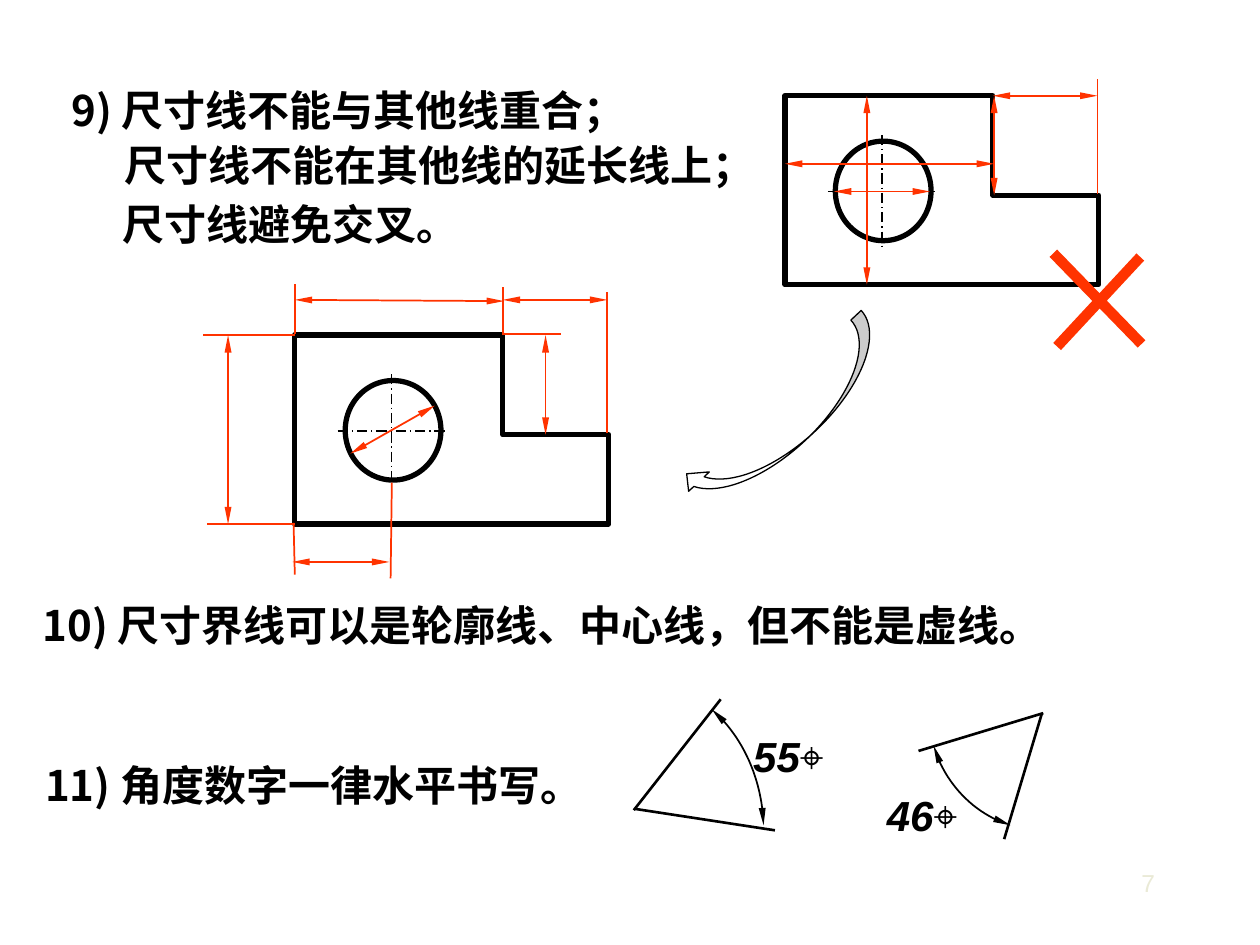
from lxml import etree
from pptx import Presentation
from pptx import util as u
from pptx.dml.color import RGBColor
from pptx.enum import dml, shapes, text
from pptx.oxml.ns import qn

Inches = u.Inches
COLORS = {"ink": "000000", "dimension": "FF3300", "paper": "FFFFFF", "pale": "EAEAD6"}
CJK = "Noto Sans CJK SC"

prs = Presentation()
prs.slide_width, prs.slide_height = Inches(10), Inches(7.5)
slide = prs.slides.add_slide(prs.slide_layouts[6])
canvas = slide.shapes


def write(runs, left, top, width, height=0.5, size=24, color="ink", wrap=True):
    """Add a text box; each run is (text, font, bold, italic)."""
    box = canvas.add_textbox(Inches(left), Inches(top), Inches(width), Inches(height))
    box.text_frame.word_wrap = wrap
    box.text_frame.auto_size = text.MSO_AUTO_SIZE.SHAPE_TO_FIT_TEXT
    for words, face, bold, italic in runs:
        run = box.text_frame.paragraphs[0].add_run()
        run.text = words
        font = run.font
        font.name, font.size, font.bold, font.italic = face, u.Pt(size), bold, italic
        font.color.rgb = RGBColor.from_string(COLORS[color])
        etree.SubElement(run._r.get_or_add_rPr(), qn("a:ea"), typeface=face)


def stroke(item, color, width, dash=None, arrows=False):
    """Format the line of a connector or shape and remove its shadow."""
    item.line.color.rgb = RGBColor.from_string(COLORS[color])
    item.line.width = u.Pt(width)
    if dash:
        item.line.dash_style = dash
    if arrows:
        ln = item.line._get_or_add_ln()
        for end in ("a:headEnd", "a:tailEnd"):
            etree.SubElement(ln, qn(end), type="triangle", w="sm", len="lg")
    etree.SubElement(item._element.spPr, qn("a:effectLst"))


# Rules
for rule, left, top, width, wrap in [
    ("9) 尺寸线不能与其他线重合；", 0.47, 0.62, 5.24, True),
    ("尺寸线不能在其他线的延长线上；", 0.89, 1.06, 5.28, True),
    ("尺寸线避免交叉。", 0.87, 1.53, 2.88, False),
    ("10) 尺寸界线可以是轮廓线、中心线，但不能是虚线。", 0.24, 4.71, 8.2, False),
    ("11) 角度数字一律水平书写。", 0.26, 5.98, 4.53, False),
]:
    write([(rule, CJK, True, False)], left, top, width, wrap=wrap)

# The same stepped part, dimensioned wrongly (right) and correctly (left)
centre_lines = [(0.34, 0.76, 1.21, 0.76), (0.77, 0.31, 0.77, 1.23)]
outline = [(1.65, 0), (0, 0), (0, 1.5), (2.49, 1.5), (2.49, 0.79), (1.65, 0.79)]
for part_x, part_y in [(6.23, 0.76), (2.34, 2.66)]:
    for x1, y1, x2, y2 in centre_lines:
        centre = canvas.add_connector(
            shapes.MSO_CONNECTOR.STRAIGHT, Inches(part_x + x1), Inches(part_y + y1),
            Inches(part_x + x2), Inches(part_y + y2))
        stroke(centre, "ink", 0.75, dml.MSO_LINE.LONG_DASH_DOT)
    corners = [(Inches(part_x + x), Inches(part_y + y)) for x, y in outline]
    builder = canvas.build_freeform(*corners[0])
    builder.add_line_segments(corners[1:], close=True)
    hole = canvas.add_shape(shapes.MSO_SHAPE.OVAL, Inches(part_x + 0.4),
                            Inches(part_y + 0.36), Inches(0.76), Inches(0.79))
    for edge in (builder.convert_to_shape(), hole):
        edge.fill.background()
        stroke(edge, "ink", 3)

# Straight lines by role: colour, width, arrowheads, end points
line_sets = [
    ("dimension", 1, True, [  # dimension lines, wrong part
        (6.23, 1.3, 7.89, 1.3), (6.62, 1.52, 7.38, 1.52), (6.88, 0.76, 6.88, 2.26),
        (7.89, 0.76, 7.89, 1.55), (7.88, 0.76, 8.71, 0.76)]),
    ("dimension", 1, True, [  # dimension lines, correct part
        (2.34, 2.38, 4, 2.39), (2.78, 3.6, 3.45, 3.22), (1.81, 2.66, 1.81, 4.16),
        (4.33, 2.66, 4.33, 3.45), (3.99, 2.38, 4.82, 2.38), (2.32, 4.46, 3.09, 4.46)]),
    ("dimension", 1, False, [  # extension lines
        (8.71, 1.54, 8.71, 0.63), (4.82, 3.44, 4.82, 2.32), (2.34, 2.66, 1.61, 2.66),
        (2.34, 4.16, 1.64, 4.16), (2.34, 2.65, 2.34, 2.25), (3.99, 2.66, 3.99, 2.28),
        (3.99, 2.65, 4.45, 2.65), (3.1, 4.59, 3.11, 3.83), (2.34, 4.56, 2.33, 4.15)]),
    ("dimension", 6, False, [  # cross over the wrong part
        (9.05, 2.04, 8.39, 2.75), (8.36, 2.01, 9.06, 2.73)]),
    ("ink", 1.5, False, [  # sides of the two angles
        (5.72, 5.55, 5.03, 6.43), (5.04, 6.42, 6.15, 6.59),
        (8.28, 5.66, 7.29, 5.96), (8.27, 5.66, 7.97, 6.66)]),
]
for color, width, arrows, ends in line_sets:
    for points in ends:
        segment = canvas.add_connector(shapes.MSO_CONNECTOR.STRAIGHT,
                                       *[Inches(value) for value in points])
        stroke(segment, color, width, arrows=arrows)

# Angle arcs, traced along cubic curves
STEPS = 24
for curve in [
    [(5.65, 5.63), (5.9, 5.85), (6.05, 6.19), (6.06, 6.55)],
    [(8.02, 6.55), (7.73, 6.46), (7.5, 6.22), (7.41, 5.92)],
]:
    trace = []
    for step in range(STEPS + 1):
        t = step / STEPS
        weights = [(1 - t) ** 3, 3 * t * (1 - t) ** 2, 3 * t ** 2 * (1 - t), t ** 3]
        trace.append(tuple(Inches(sum(w * point[axis] for w, point in zip(weights, curve)))
                           for axis in (0, 1)))
    builder = canvas.build_freeform(*trace[0])
    builder.add_line_segments(trace[1:], close=False)
    arc = builder.convert_to_shape()
    arc.fill.background()
    stroke(arc, "ink", 1, arrows=True)

# Angle values
for value, left, top, width in [("55", 5.88, 5.75, 0.97), ("46", 6.94, 6.22, 1.01)]:
    write([(value, "Arial", True, True), ("⌖", CJK, False, True)], left, top, width)

# Arrow from the wrong part to the correct one
turn = canvas.add_shape(shapes.MSO_SHAPE.CURVED_LEFT_ARROW, Inches(6.03), Inches(2.31),
                        Inches(0.45), Inches(2.01))
turn.rotation = 46.9
turn.fill.solid()
turn.fill.fore_color.rgb = RGBColor.from_string(COLORS["paper"])
stroke(turn, "ink", 0.75)

# Page number
write([("7", "Arial", False, False)], 8.96, 6.84, 0.35, 0.31, size=14, color="pale")

prs.save("out.pptx")
